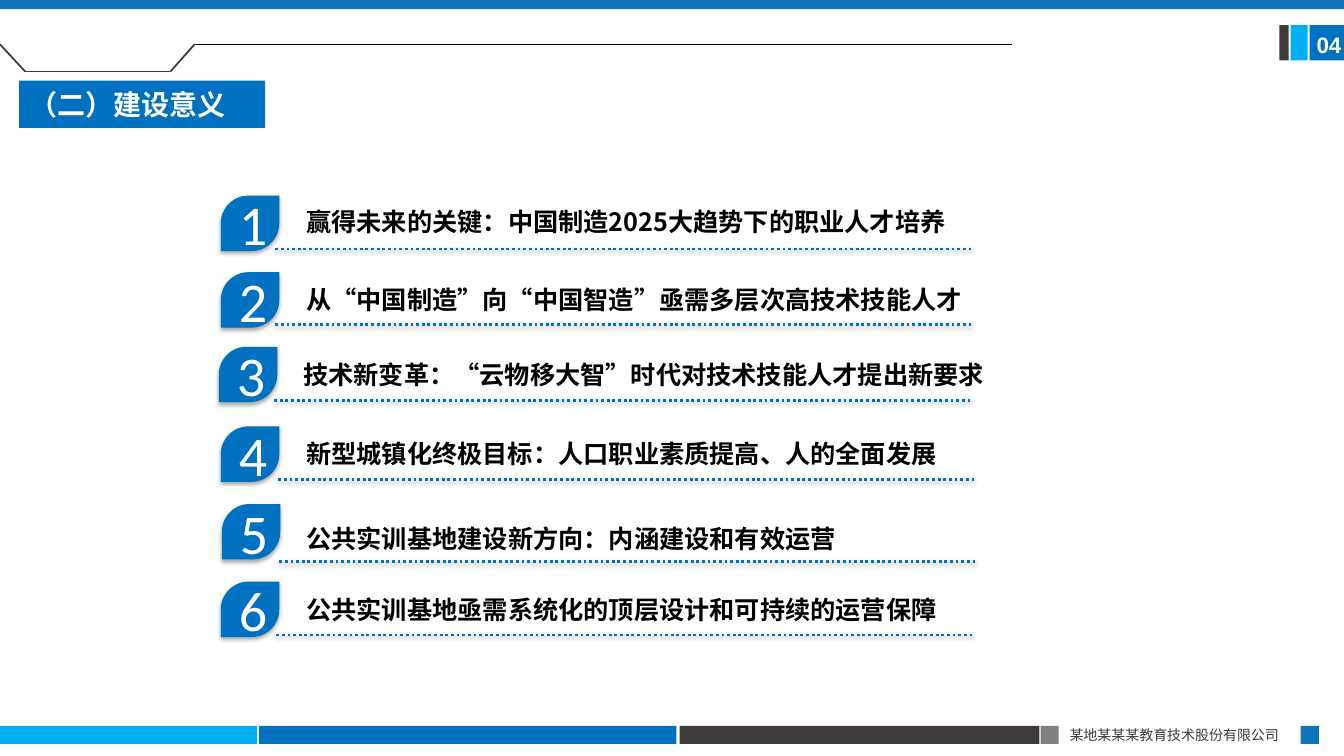
"""Build the slide on the significance of the project, with six numbered points."""
import dataclasses
import typing

import lxml.etree
import pptx
import pptx.dml.color
import pptx.enum.dml
import pptx.enum.shapes
import pptx.enum.text
import pptx.oxml.ns
import pptx.util

Inches = pptx.util.Inches
Pt = pptx.util.Pt
qn = pptx.oxml.ns.qn
Preset = pptx.enum.shapes.MSO_SHAPE
Align = pptx.enum.text.PP_ALIGN

BLUE, SKY, STEEL = "0070C0", "00B0F0", "1074BB"
DARK, GREY, BLACK, WHITE = "3E3A39", "808080", "000000", "FFFFFF"
CJK = "Noto Sans CJK SC"


@dataclasses.dataclass
class Bar:
    left: float
    top: float
    width: float
    height: float
    color: str


@dataclasses.dataclass
class Stroke:
    start: tuple[float, float]
    end: tuple[float, float]
    color: str
    weight: float


@dataclasses.dataclass
class Point:
    text: str
    badge_left: float
    badge_top: float
    text_left: float
    text_top: float
    text_width: float
    rule_left: float
    rule_top: float


BARS = [
    Bar(0, 7.2, 2.55, 0.18, SKY),
    Bar(2.57, 7.2, 4.14, 0.18, BLUE),
    Bar(6.74, 7.2, 3.57, 0.18, DARK),
    Bar(10.32, 7.2, 0.18, 0.18, GREY),
    Bar(12.9, 7.2, 0.18, 0.18, STEEL),
    Bar(12.99, 0.25, 0.35, 0.35, BLUE),
    Bar(12.8, 0.25, 0.17, 0.35, SKY),
    Bar(12.69, 0.25, 0.09, 0.35, DARK),
    Bar(0, 0, 13.33, 0.09, STEEL),
]
HEADER_STROKES = [
    Stroke((0.25, 0.71), (1.69, 0.71), DARK, 1.25),
    Stroke((1.69, 0.71), (1.93, 0.44), DARK, 1.25),
    Stroke((0.25, 0.71), (0, 0.44), DARK, 1.25),
    Stroke((1.93, 0.44), (10.04, 0.44), BLACK, 0.5),
]
POINTS = [
    Point("赢得未来的关键：中国制造2025大趋势下的职业人才培养", 2.19, 1.94, 2.94, 2.02, 7.52, 2.73, 2.47),
    Point("从“中国制造”向“中国智造”亟需多层次高技术技能人才", 2.19, 2.7, 2.94, 2.79, 7, 2.73, 3.22),
    Point("技术新变革：“云物移大智”时代对技术技能人才提出新要求", 2.17, 3.44, 2.91, 3.54, 7.24, 2.72, 3.97),
    Point("新型城镇化终极目标：人口职业素质提高、人的全面发展", 2.19, 4.23, 2.94, 4.32, 7, 2.76, 4.76),
    Point("公共实训基地建设新方向：内涵建设和有效运营", 2.2, 5, 2.94, 5.16, 6.35, 2.77, 5.57),
    Point("公共实训基地亟需系统化的顶层设计和可持续的运营保障", 2.19, 5.77, 2.94, 5.87, 6.65, 2.74, 6.3),
]
RULE_LENGTH = 6.92


def rgb(color: str) -> pptx.dml.color.RGBColor:
    return pptx.dml.color.RGBColor.from_string(color)


def write(frame: typing.Any, text: str, size: float, color: str, font: str = CJK,
          bold: bool = False, align: Align = Align.LEFT) -> typing.Any:
    paragraph = frame.paragraphs[0]
    paragraph.text = text
    paragraph.alignment = align
    paragraph.font.size = Pt(size)
    paragraph.font.bold = bold
    paragraph.font.color.rgb = rgb(color)
    paragraph.font.name = font
    defaults = paragraph._p.pPr.find(qn("a:defRPr"))
    lxml.etree.SubElement(defaults, qn("a:ea"), typeface=CJK)
    return paragraph


def add_text(slide: typing.Any, left: float, top: float, width: float, height: float,
             text: str, **style: typing.Any) -> typing.Any:
    box = slide.shapes.add_textbox(Inches(left), Inches(top), Inches(width), Inches(height))
    box.text_frame.word_wrap = True
    return write(box.text_frame, text, **style)


def add_block(slide: typing.Any, preset: Preset, bar: Bar) -> typing.Any:
    block = slide.shapes.add_shape(
        preset, Inches(bar.left), Inches(bar.top), Inches(bar.width), Inches(bar.height))
    block.fill.solid()
    block.fill.fore_color.rgb = rgb(bar.color)
    block.line.fill.background()
    block.shadow.inherit = False
    return block


def add_stroke(slide: typing.Any, stroke: Stroke) -> typing.Any:
    line = slide.shapes.add_connector(
        pptx.enum.shapes.MSO_CONNECTOR.STRAIGHT,
        *(Inches(value) for value in (*stroke.start, *stroke.end)))
    line.line.color.rgb = rgb(stroke.color)
    line.line.width = Pt(stroke.weight)
    lxml.etree.SubElement(line._element.spPr, qn("a:effectLst"))
    return line


def cast_shadow(shape: typing.Any, opacity: int, distance: float) -> None:
    effects = shape._element.spPr.find(qn("a:effectLst"))
    shadow = lxml.etree.SubElement(
        effects, qn("a:outerShdw"), blurRad=str(Pt(3.1)), dist=str(Pt(distance)),
        dir="5400000", rotWithShape="0")
    tint = lxml.etree.SubElement(shadow, qn("a:srgbClr"), val=BLACK)
    lxml.etree.SubElement(tint, qn("a:alpha"), val=str(opacity * 1000))


def add_heading(slide: typing.Any, text: str) -> None:
    heading = slide.shapes.title
    heading.left, heading.top = Inches(0.19), Inches(0.8)
    heading.width, heading.height = Inches(2.44), Inches(0.47)
    heading.fill.solid()
    heading.fill.fore_color.rgb = rgb(BLUE)
    heading.text_frame.vertical_anchor = pptx.enum.text.MSO_ANCHOR.MIDDLE
    heading.text_frame.auto_size = pptx.enum.text.MSO_AUTO_SIZE.NONE
    write(heading.text_frame, text, 20, WHITE, font="Calibri", bold=True)


def add_point(slide: typing.Any, number: int, point: Point) -> None:
    badge = add_block(slide, Preset.ROUND_2_DIAG_RECTANGLE,
                      Bar(point.badge_left, point.badge_top, 0.58, 0.55, BLUE))
    badge.adjustments[0], badge.adjustments[1] = 0.5, 0
    cast_shadow(badge, 35, 1.8)
    write(badge.text_frame, str(number), 40, WHITE, font="Calibri", align=Align.CENTER)
    statement = add_text(slide, point.text_left, point.text_top, point.text_width, 0.38,
                         point.text, size=18, color=BLACK, bold=True)
    statement.line_spacing = Pt(20)
    rule = add_stroke(slide, Stroke(
        (point.rule_left, point.rule_top),
        (point.rule_left + RULE_LENGTH, point.rule_top), BLUE, 2))
    rule.line.dash_style = pptx.enum.dml.MSO_LINE.ROUND_DOT
    cast_shadow(rule, 38, 1.6)


def main() -> None:
    deck = pptx.Presentation()
    deck.slide_width, deck.slide_height = Inches(13.33), Inches(7.5)
    slide = deck.slides.add_slide(deck.slide_layouts[5])
    for bar in BARS:
        add_block(slide, Preset.RECTANGLE, bar)
    for stroke in HEADER_STROKES:
        add_stroke(slide, stroke)
    add_text(slide, 10.51, 7.16, 2.4, 0.27, "某地某某某教育技术股份有限公司",
             size=10, color=DARK, align=Align.JUSTIFY)
    add_text(slide, 12.96, 0.26, 0.5, 0.37, "04",
             size=16, color=WHITE, font="Arial", bold=True)
    add_heading(slide, "（二）建设意义")
    for number, point in enumerate(POINTS, start=1):
        add_point(slide, number, point)
    deck.save("out.pptx")


if __name__ == "__main__":
    main()
